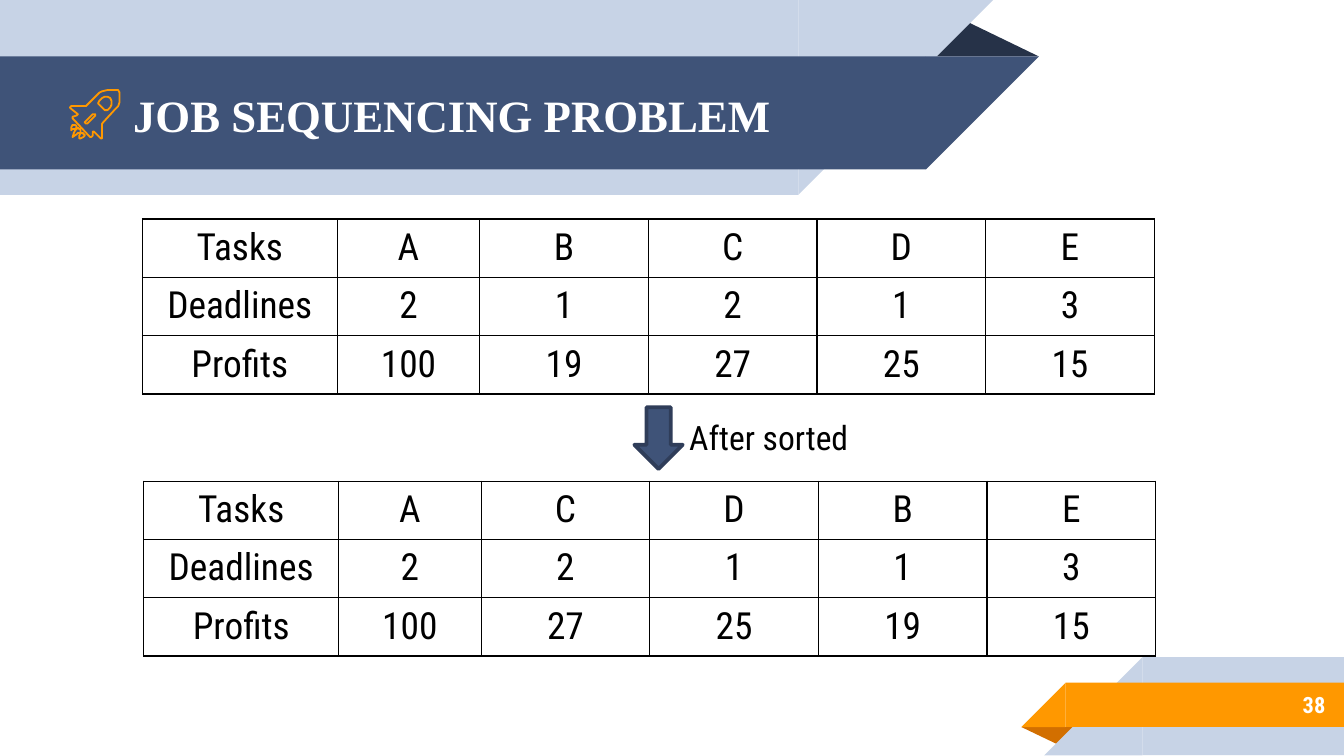
from dataclasses import dataclass

from lxml import etree
from pptx import Presentation
from pptx.dml.color import RGBColor
from pptx.enum.shapes import MSO_SHAPE
from pptx.enum.text import MSO_ANCHOR, MSO_AUTO_SIZE, PP_ALIGN
from pptx.oxml.ns import qn
from pptx.util import Inches, Pt

RECT = MSO_SHAPE.RECTANGLE
CORNER = MSO_SHAPE.RIGHT_TRIANGLE
TRIANGLE = MSO_SHAPE.ISOSCELES_TRIANGLE
ARROW = MSO_SHAPE.RIGHT_ARROW
LEFT, CENTER, RIGHT = PP_ALIGN.LEFT, PP_ALIGN.CENTER, PP_ALIGN.RIGHT
TOP, MIDDLE = MSO_ANCHOR.TOP, MSO_ANCHOR.MIDDLE
TITLE_ONLY = 5


@dataclass(frozen=True)
class Theme:
    navy: str = "3F5378"
    navy_line: str = "2F3D59"
    navy_fold: str = "263248"
    pale: str = "C7D3E6"
    orange: str = "FF9800"
    orange_fold: str = "D26F00"
    white: str = "FFFFFF"
    black: str = "000000"
    title_font: str = "Times New Roman"
    body_font: str = "Roboto Condensed"
    title_size: float = 24
    table_size: float = 20
    label_size: float = 18
    number_size: float = 12
    icon_line: float = 0.96
    arrow_line: float = 2
    border: float = 0.75


THEME = Theme()

TABLE_WIDTH = 7.53
LABEL_WIDTHS = [1.45, 1.06]
COLUMNS = LABEL_WIDTHS + [(TABLE_WIDTH - sum(LABEL_WIDTHS)) / 4] * 4
ROW_HEIGHT = 0.41
HEADINGS = ("Tasks", "Deadlines", "Profits")
JOBS = [("A", 2, 100), ("B", 1, 19), ("C", 2, 27), ("D", 1, 25), ("E", 3, 15)]

# Rocket outlines, in hundredths of an inch on the slide
ROCKET_BODY = [
    [(76, 102), (76, 92), (86, 81), (88, 79), (89, 76), (89, 69), (88, 67),
     (86, 67), (80, 67), (76, 68), (74, 69), (64, 79), (53, 79), (52, 80),
     (53, 81), (58, 85), (57, 86), (54, 87), (54, 88), (67, 102), (68, 102),
     (69, 101), (69, 98), (70, 98), (75, 103), (76, 103)],
    [(65, 92), (64, 92), (63, 91), (64, 90), (69, 85), (70, 85), (71, 85),
     (71, 86), (70, 87)],
    [(80, 82), (79, 82), (78, 82), (74, 78), (73, 77), (74, 75), (76, 73),
     (78, 72), (80, 72), (82, 73), (83, 75), (83, 78), (82, 80)],
]
ROCKET_FLAMES = [
    [(60, 96), (59, 96), (58, 95), (57, 96), (56, 97), (55, 99), (54, 102),
     (57, 100), (58, 99), (60, 99), (60, 98)],
    [(62, 100), (62, 99), (61, 99), (60, 99), (59, 101), (59, 103), (60, 103),
     (62, 102), (63, 101), (63, 100)],
    [(56, 93), (55, 93), (54, 93), (53, 95), (53, 97), (54, 96), (56, 96),
     (57, 95), (57, 94)],
]


def rgb(value):
    return RGBColor.from_string(value)


def write(tf, text, *, size, color, font=THEME.body_font, bold=False,
          align=LEFT, anchor=TOP):
    tf.word_wrap = True
    tf.vertical_anchor = anchor
    p = tf.paragraphs[0]
    p.alignment = align
    r = p.add_run()
    r.text = text
    r.font.name, r.font.size, r.font.bold = font, Pt(size), bold
    r.font.color.rgb = rgb(color)


def add_textbox(slide, box, text, inset_y=0.05, **style):
    tf = slide.shapes.add_textbox(*map(Inches, box)).text_frame
    tf.margin_top = tf.margin_bottom = Inches(inset_y)
    write(tf, text, **style)


def add_filled(slide, kind, box, color, rotation=0, line=None, adjust=None):
    sp = slide.shapes.add_shape(kind, *map(Inches, box))
    sp.shadow.inherit = False
    sp.rotation = rotation
    sp.fill.solid()
    sp.fill.fore_color.rgb = rgb(color)
    if line:
        sp.line.color.rgb = rgb(line)
        sp.line.width = Pt(THEME.arrow_line)
    else:
        sp.line.fill.background()
    if adjust is not None:
        sp.adjustments[0] = adjust


def add_top_band(slide, y, width, height, color):
    """Band from the left edge whose right end slants down and inwards."""
    add_filled(slide, RECT, (0, y, width, height), color)
    add_filled(slide, CORNER, (width, y, height, height), color, 90)


def add_bottom_band(slide, x, y, height, color):
    """Band to the right edge whose left end slants down and outwards."""
    add_filled(slide, RECT, (x, y, 10 - x, height), color)
    add_filled(slide, CORNER, (x - height, y, height, height), color, 270)


def add_outline(slide, contours):
    first, *others = contours
    builder = slide.shapes.build_freeform(*first[0], scale=Inches(0.01))
    builder.add_line_segments(first[1:], close=True)
    for points in others:
        builder.move_to(*points[0])
        builder.add_line_segments(points[1:], close=True)
    sp = builder.convert_to_shape()
    sp.shadow.inherit = False
    sp.fill.background()
    sp.line.color.rgb = rgb(THEME.orange)
    sp.line.width = Pt(THEME.icon_line)


def set_borders(cell):
    tc_pr = cell._tc.get_or_add_tcPr()
    for side in ("a:lnL", "a:lnR", "a:lnT", "a:lnB"):
        ln = etree.SubElement(tc_pr, qn(side), w=str(Pt(THEME.border)))
        fill = etree.SubElement(ln, qn("a:solidFill"))
        etree.SubElement(fill, qn("a:srgbClr"), val=THEME.black)


def add_job_table(slide, x, y, jobs):
    rows = list(zip(HEADINGS, *jobs))
    table = slide.shapes.add_table(
        len(rows), len(COLUMNS), Inches(x), Inches(y),
        Inches(TABLE_WIDTH), Inches(ROW_HEIGHT * len(rows))).table
    table.first_row = table.horz_banding = False
    for column, width in zip(table.columns, COLUMNS):
        column.width = Inches(width)
    for i, values in enumerate(rows):
        for j, value in enumerate(values):
            cell = table.cell(i, j)
            set_borders(cell)
            cell.fill.background()
            write(cell.text_frame, str(value), size=THEME.table_size,
                  color=THEME.black, align=CENTER)


def add_title(slide, text):
    title = slide.shapes.title
    title.left, title.top, title.width, title.height = map(
        Inches, (0.89, 0.43, 6.19, 0.84))
    slide.shapes._spTree.append(title.element)  # in front of the bands
    tf = title.text_frame
    tf.auto_size = MSO_AUTO_SIZE.NONE
    tf.margin_top = tf.margin_bottom = Inches(0.1)
    write(tf, text, size=THEME.title_size, color=THEME.white,
          font=THEME.title_font, bold=True, anchor=MIDDLE)


def main():
    prs = Presentation()
    prs.slide_width = Inches(10)
    prs.slide_height = prs.slide_width * 9 // 16
    slide = prs.slides.add_slide(prs.slide_layouts[TITLE_ONLY])

    add_filled(slide, TRIANGLE, (6.88, 0.14, 0.85, 0.28), THEME.navy_fold, adjust=0.32)
    add_top_band(slide, 0, 5.94, 1.45, THEME.pale)
    add_top_band(slide, 0.42, 6.89, 0.84, THEME.navy)
    add_filled(slide, TRIANGLE, (7.6, 5.41, 0.43, 0.14), THEME.orange_fold, 180, adjust=0.32)
    add_bottom_band(slide, 8.5, 4.89, 0.73, THEME.pale)
    add_bottom_band(slide, 7.93, 5.08, 0.33, THEME.orange)

    add_title(slide, "JOB SEQUENCING PROBLEM")
    add_textbox(slide, (8.33, 5.07, 1.63, 0.35), "38", inset_y=0.1,
                size=THEME.number_size, color=THEME.white, bold=True,
                align=RIGHT, anchor=MIDDLE)
    add_outline(slide, ROCKET_BODY)
    for flame in ROCKET_FLAMES:
        add_outline(slide, [flame])

    add_job_table(slide, 1.06, 1.63, JOBS)
    by_profit = sorted(JOBS, key=lambda job: job[2], reverse=True)
    add_job_table(slide, 1.07, 3.58, by_profit)
    add_filled(slide, ARROW, (4.67, 3.08, 0.46, 0.36), THEME.navy, 90, THEME.navy_line)
    add_textbox(slide, (5.03, 3.05, 1.63, 0.4), "After sorted",
                size=THEME.label_size, color=THEME.black)

    prs.save("out.pptx")


if __name__ == "__main__":
    main()
